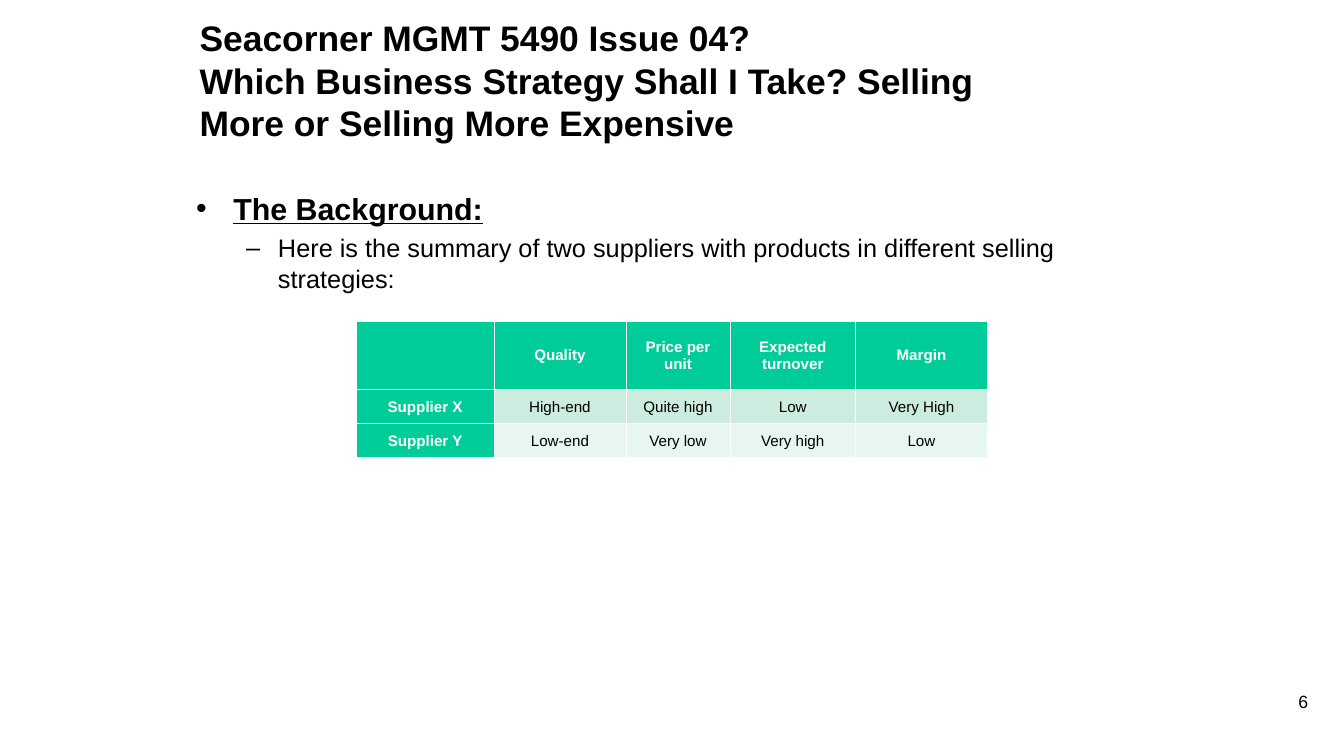
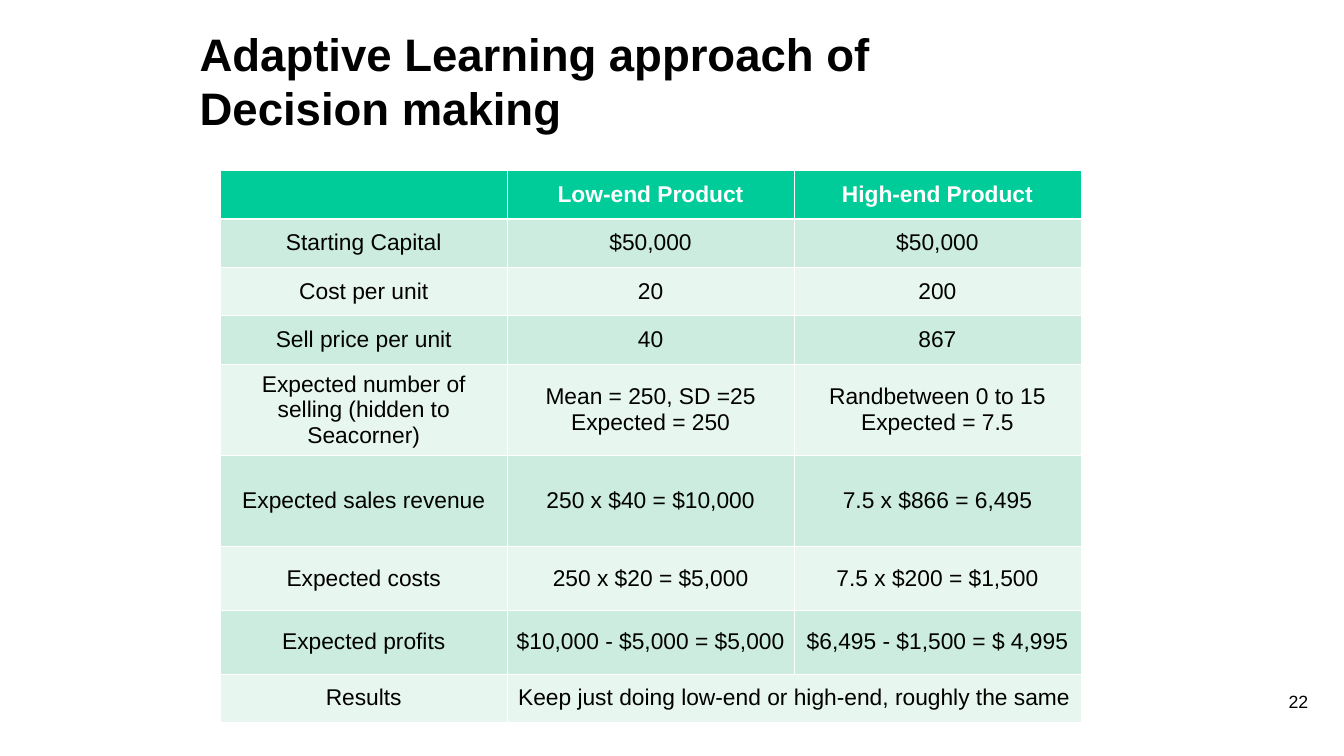
from dataclasses import dataclass

from lxml.etree import SubElement
from pptx import Presentation
from pptx.dml.color import RGBColor
from pptx.enum.text import MSO_ANCHOR, PP_ALIGN
from pptx.oxml.ns import qn
from pptx.util import Pt


@dataclass(frozen=True)
class Theme:
    font: str = "Arial"
    ink: str = "000000"
    paper: str = "FFFFFF"
    head: str = "00CC99"
    bands: tuple = ("CBECDE", "E7F6EF")
    topic: int = 24
    point: int = 20
    number: int = 14
    thin: float = 0.45
    thick: float = 1.5


THEME = Theme()


def write(para, text, size, color=THEME.ink, bold=False, under=False,
          align=PP_ALIGN.LEFT, space=None, before=0):
    para.text = text
    para.alignment = align
    para.space_before = Pt(before)
    if space:
        para.line_spacing = space
    for run in para.runs:
        font = run.font
        font.name, font.size = THEME.font, Pt(size)
        font.bold, font.underline = bold, under
        font.color.rgb = RGBColor.from_string(color)


def bullet(para, mark, left, hang):
    props = para._p.get_or_add_pPr()
    props.set("marL", str(Pt(left)))
    props.set("indent", str(-Pt(hang)))
    SubElement(props, qn("a:buFont")).set("typeface", THEME.font)
    SubElement(props, qn("a:buChar")).set("char", mark)


def edge(cell, widths):
    """Draw the left, right, top and bottom borders of a cell."""
    props = cell._tc.get_or_add_tcPr()
    for spot, (side, width) in enumerate(zip("LRTB", widths)):
        line = props.makeelement(qn(f"a:ln{side}"), {"w": str(Pt(width))})
        fill = SubElement(line, qn("a:solidFill"))
        SubElement(fill, qn("a:srgbClr")).set("val", THEME.paper)
        props.insert(spot, line)


class Deck:
    def __init__(self, width, height):
        self.show = Presentation()
        self.show.slide_width, self.show.slide_height = Pt(width), Pt(height)
        self.slide = None

    def start(self, title, size, number, space=None):
        """Add a slide with its title and page number."""
        self.slide = self.show.slides.add_slide(self.show.slide_layouts[6])
        frame = self.frame(149.8, 26.6, 641.5, 73.5, MSO_ANCHOR.MIDDLE)
        write(frame.paragraphs[0], title, size, bold=True, space=space)
        frame = self.frame(821.5, 542, 221, 39.6)
        write(frame.paragraphs[0], str(number), THEME.number,
              align=PP_ALIGN.RIGHT)

    def frame(self, left, top, width, height, anchor=MSO_ANCHOR.TOP):
        box = self.slide.shapes.add_textbox(
            Pt(left), Pt(top), Pt(width), Pt(height))
        frame = box.text_frame
        frame.word_wrap = True
        frame.vertical_anchor = anchor
        frame.margin_left = frame.margin_right = Pt(8)
        frame.margin_top = frame.margin_bottom = Pt(4)
        return frame

    def body(self, topic, point):
        frame = self.frame(147, 146, 769, 382)
        para = frame.paragraphs[0]
        bullet(para, "•", 29.5, 29.5)
        write(para, topic, THEME.topic, bold=True, under=True)
        para = frame.add_paragraph()
        bullet(para, "–", 64.8, 25.2)
        write(para, point, THEME.point, before=5)

    def table(self, left, top, cols, rows, data, size,
              side=7.2, space=None, stub=False):
        """Add a banded table; stub gives the first column the header look."""
        grid = self.slide.shapes.add_table(
            len(rows), len(cols), Pt(left), Pt(top),
            Pt(sum(cols)), Pt(sum(rows))).table
        grid.first_col = stub
        for col, width in zip(grid.columns, cols):
            col.width = Pt(width)
        for row, height in zip(grid.rows, rows):
            row.height = Pt(height)
        for r, texts in enumerate(data):
            for c in range(len(cols)):
                cell = grid.cell(r, c)
                head = r == 0 or (stub and c == 0)
                cell.fill.solid()
                cell.fill.fore_color.rgb = RGBColor.from_string(
                    THEME.head if head else THEME.bands[(r - 1) % 2])
                edge(cell, (THEME.thin, THEME.thin,
                            THEME.thick if r == 1 else THEME.thin,
                            THEME.thick if r == 0 else THEME.thin))
                cell.vertical_anchor = MSO_ANCHOR.MIDDLE
                cell.margin_left = cell.margin_right = Pt(side)
                if c >= len(texts):
                    continue
                frame = cell.text_frame
                for n, text in enumerate(texts[c].split("\n")):
                    para = frame.add_paragraph() if n else frame.paragraphs[0]
                    write(para, text, size, bold=head, space=space,
                          color=THEME.paper if head else THEME.ink,
                          align=PP_ALIGN.CENTER)
            if len(texts) < len(cols):
                grid.cell(r, len(texts) - 1).merge(grid.cell(r, len(cols) - 1))


def main():
    deck = Deck(1062.7, 597.6)

    deck.start("Seacorner MGMT 5490 Issue 04?\vWhich Business Strategy Shall "
               "I Take? Selling More or Selling More Expensive", 28, 6)
    deck.body("The Background:", "Here is the summary of two suppliers with "
              "products in different selling strategies:")
    deck.table(281.8, 253.8, (108.8, 104.4, 82.2, 99.4, 104.2), (54, 27, 27), (
        ("", "Quality", "Price per unit", "Expected turnover", "Margin"),
        ("Supplier X", "High-end", "Quite high", "Low", "Very High"),
        ("Supplier Y", "Low-end", "Very low", "Very high", "Low"),
    ), 12, side=5.6, space=Pt(14), stub=True)

    deck.start("Adaptive Learning approach of Decision making", 36, 22)
    deck.table(174.2, 134.6, (226.8,) * 3,
               (38.3,) * 4 + (72,) * 2 + (50.4,) * 2 + (38.3,), (
        ("", "Low-end Product", "High-end Product"),
        ("Starting Capital", "$50,000", "$50,000"),
        ("Cost per unit", "20", "200"),
        ("Sell price per unit", "40", "867"),
        ("Expected number of selling (hidden to Seacorner)",
         "Mean = 250, SD =25\nExpected = 250",
         "Randbetween 0 to 15\nExpected = 7.5"),
        ("Expected sales revenue", "250 x $40 = $10,000",
         "7.5 x $866 = 6,495"),
        ("Expected costs", "250 x $20 = $5,000", "7.5 x $200 = $1,500"),
        ("Expected profits", "$10,000 - $5,000 = $5,000",
         "$6,495 - $1,500 = $ 4,995"),
        ("Results", "Keep just doing low-end or high-end, roughly the same"),
    ), 18)

    deck.show.save("out.pptx")


if __name__ == "__main__":
    main()
